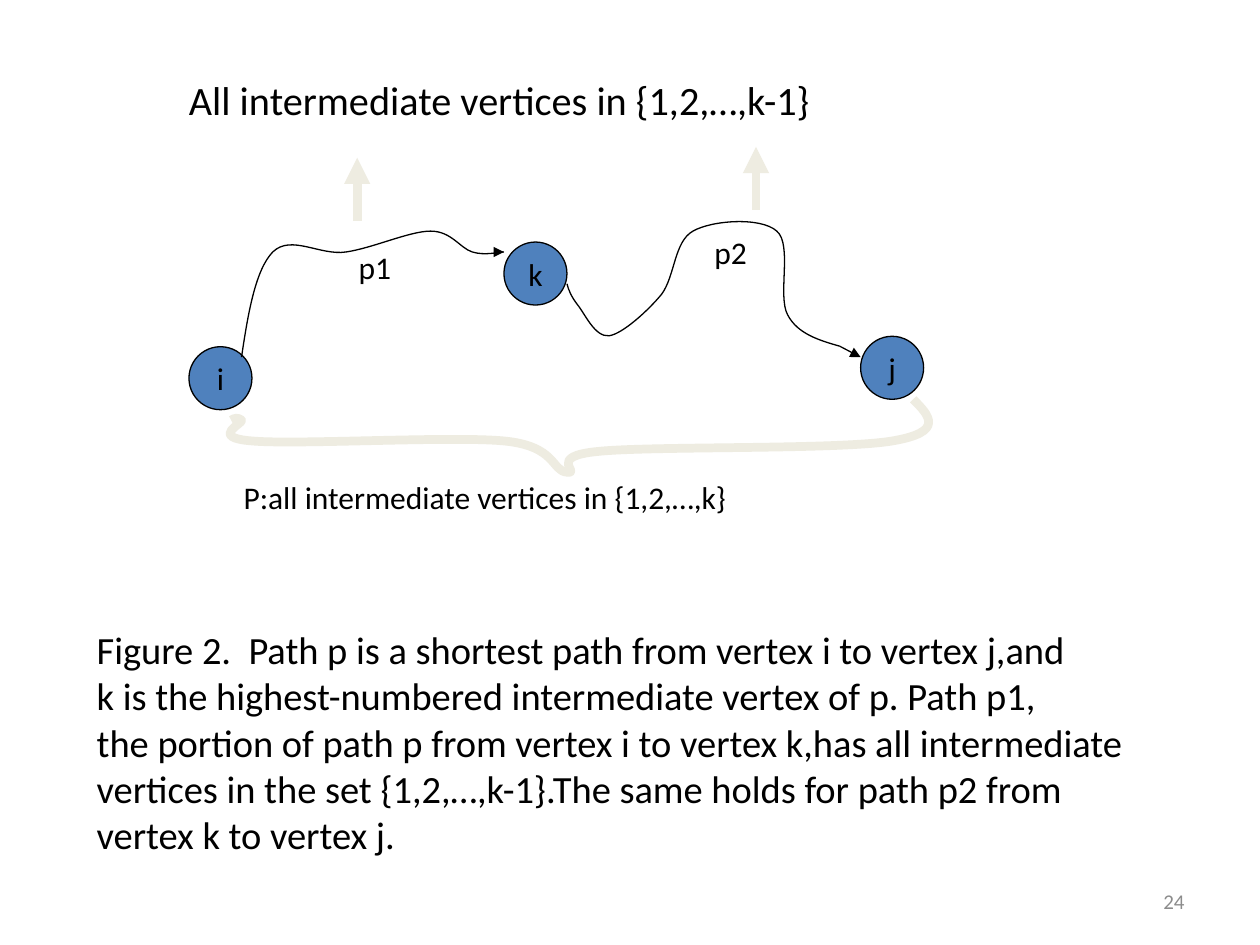
"""Build the slide on splitting a shortest path at its highest-numbered vertex."""
from pptx import Presentation
from pptx.dml.color import RGBColor
from pptx.enum.shapes import MSO_CONNECTOR, MSO_SHAPE
from pptx.enum.text import MSO_ANCHOR, PP_ALIGN
from pptx.oxml.ns import qn
from pptx.util import Cm, Pt
from lxml.etree import SubElement

BLACK = RGBColor(0x00, 0x00, 0x00)
BLUE = RGBColor(0x4F, 0x81, 0xBD)
CREAM = RGBColor(0xEE, 0xEC, 0xE1)
GREY = RGBColor(0x8C, 0x8C, 0x8C)
FONT = "Calibri"
THIN, THICK = 0.75, 5
DIAMETER = 1.27

VERTICES = [("i", 3.81, 6.99), ("j", 17.35, 6.78), ("k", 10.16, 4.88)]

PATH_P1 = [
    (4.87, 7.2),
    (5, 6.32), (5.15, 5.44), (5.5, 5.08),
    (5.87, 4.72), (6.45, 5.16), (6.98, 5.08),
    (7.52, 5), (8.26, 4.66), (8.68, 4.66),
    (9.1, 4.66), (9.27, 5), (9.52, 5.08),
    (9.78, 5.16), (10.05, 5.08), (10.16, 5.08),
]
PATH_P2 = [
    (11.43, 5.72),
    (11.46, 5.84), (11.51, 5.97), (11.64, 6.14),
    (11.79, 6.32), (11.99, 6.8), (12.28, 6.77),
    (12.55, 6.73), (13.06, 6.27), (13.34, 5.93),
    (13.61, 5.56), (13.59, 4.87), (13.97, 4.66),
    (14.35, 4.44), (15.34, 4.37), (15.66, 4.66),
    (15.98, 4.93), (15.67, 5.97), (15.88, 6.35),
    (16.08, 6.73), (16.51, 6.86), (16.93, 6.98),
]
BRACE = [
    (4.66, 8.47),
    (4.72, 8.43), (4.8, 8.41), (4.87, 8.47),
    (4.93, 8.53), (4.19, 8.82), (5.08, 8.89),
    (5.97, 8.97), (9.1, 8.79), (10.16, 8.89),
    (11.22, 8.99), (11.12, 9.5), (11.43, 9.52),
    (11.74, 9.55), (10.98, 9.2), (12.07, 9.1),
    (13.16, 8.99), (16.93, 9.07), (17.99, 8.89),
    (19.05, 8.71), (18.74, 8.38), (18.41, 8.05),
]
CURVES = [(PATH_P1, BLACK, THIN), (PATH_P2, BLACK, THIN), (BRACE, CREAM, THICK)]

ARROWS = [
    ((9.95, 5.08), (10.16, 5.08), BLACK, THIN),
    ((16.93, 6.98), (17.35, 7.2), BLACK, THIN),
    ((7.2, 4.45), (7.2, 3.18), CREAM, THICK),
    ((15.24, 4.23), (15.24, 2.96), CREAM, THICK),
]

LABELS = [
    ("p1", (6.98, 4.88, 1.35, 1.27), 18),
    ("p2", (14.15, 4.57, 1.35, 1.27), 18),
    ("All intermediate vertices in {1,2,…,k-1}", (3.56, 1.4, 13.4, 1.24), 23),
    ("P:all intermediate vertices in {1,2,…,k}", (4.66, 9.52, 13.97, 1.27), 18),
]
CAPTION = [
    "Figure 2.  Path p is a shortest path from vertex i to vertex j,and",
    "k is the highest-numbered intermediate vertex of p. Path p1, ",
    "the portion of path p from vertex i to vertex k,has all intermediate",
    "vertices in the set {1,2,…,k-1}.The same holds for path p2 from",
    "vertex k to vertex j.",
]


def write(frame, lines, size, color=BLACK, align=PP_ALIGN.LEFT, anchor=MSO_ANCHOR.TOP):
    frame.vertical_anchor = anchor
    for number, line in enumerate(lines):
        paragraph = frame.add_paragraph() if number else frame.paragraphs[0]
        paragraph.alignment = align
        run = paragraph.add_run()
        run.text = line
        run.font.name = FONT
        run.font.size = Pt(size)
        run.font.color.rgb = color


def add_text(slide, lines, box, size, **style):
    frame = slide.shapes.add_textbox(*map(Cm, box)).text_frame
    frame.word_wrap = True
    write(frame, lines, size, **style)


def set_line(line, color, width):
    line.color.rgb = color
    line.width = Pt(width)


def add_vertex(slide, name, left, top):
    vertex = slide.shapes.add_shape(
        MSO_SHAPE.OVAL, Cm(left), Cm(top), Cm(DIAMETER), Cm(DIAMETER))
    vertex.shadow.inherit = False
    vertex.fill.solid()
    vertex.fill.fore_color.rgb = BLUE
    set_line(vertex.line, BLACK, THIN)
    vertex.text_frame.word_wrap = False
    write(vertex.text_frame, [name], 18, align=PP_ALIGN.CENTER, anchor=MSO_ANCHOR.MIDDLE)


def add_curve(slide, points, color, width):
    """Draw a start point followed by cubic Bézier triples."""
    start, *rest = [(Cm(x), Cm(y)) for x, y in points]
    builder = slide.shapes.build_freeform(*start)
    builder.add_line_segments(rest, close=False)
    curve = builder.convert_to_shape()
    curve.shadow.inherit = False
    curve.fill.background()
    set_line(curve.line, color, width)
    outline = next(curve.element.iter(qn("a:path")))
    segments = outline.findall(qn("a:lnTo"))
    for first in range(0, len(segments), 3):
        bezier = SubElement(outline, qn("a:cubicBezTo"))
        for segment in segments[first:first + 3]:
            bezier.append(segment[0])
            outline.remove(segment)


def add_arrow(slide, start, end, color, width):
    arrow = slide.shapes.add_connector(
        MSO_CONNECTOR.STRAIGHT, *map(Cm, start + end))
    set_line(arrow.line, color, width)
    SubElement(arrow.line._get_or_add_ln(), qn("a:tailEnd"), type="triangle")
    SubElement(arrow.element.spPr, qn("a:effectLst"))


def main():
    deck = Presentation()
    deck.slide_width, deck.slide_height = Cm(25.4), Cm(19.05)
    slide = deck.slides.add_slide(deck.slide_layouts[6])
    add_text(slide, ["24"], (18.2, 17.66, 5.93, 1.01), 12, color=GREY,
             align=PP_ALIGN.RIGHT, anchor=MSO_ANCHOR.MIDDLE)
    for vertex in VERTICES:
        add_vertex(slide, *vertex)
    for curve in CURVES:
        add_curve(slide, *curve)
    for arrow in ARROWS:
        add_arrow(slide, *arrow)
    for label, box, size in LABELS:
        add_text(slide, [label], box, size)
    add_text(slide, CAPTION, (1.7, 12.5, 21.44, 4.95), 22, align=PP_ALIGN.JUSTIFY)
    deck.save("out.pptx")


if __name__ == "__main__":
    main()
